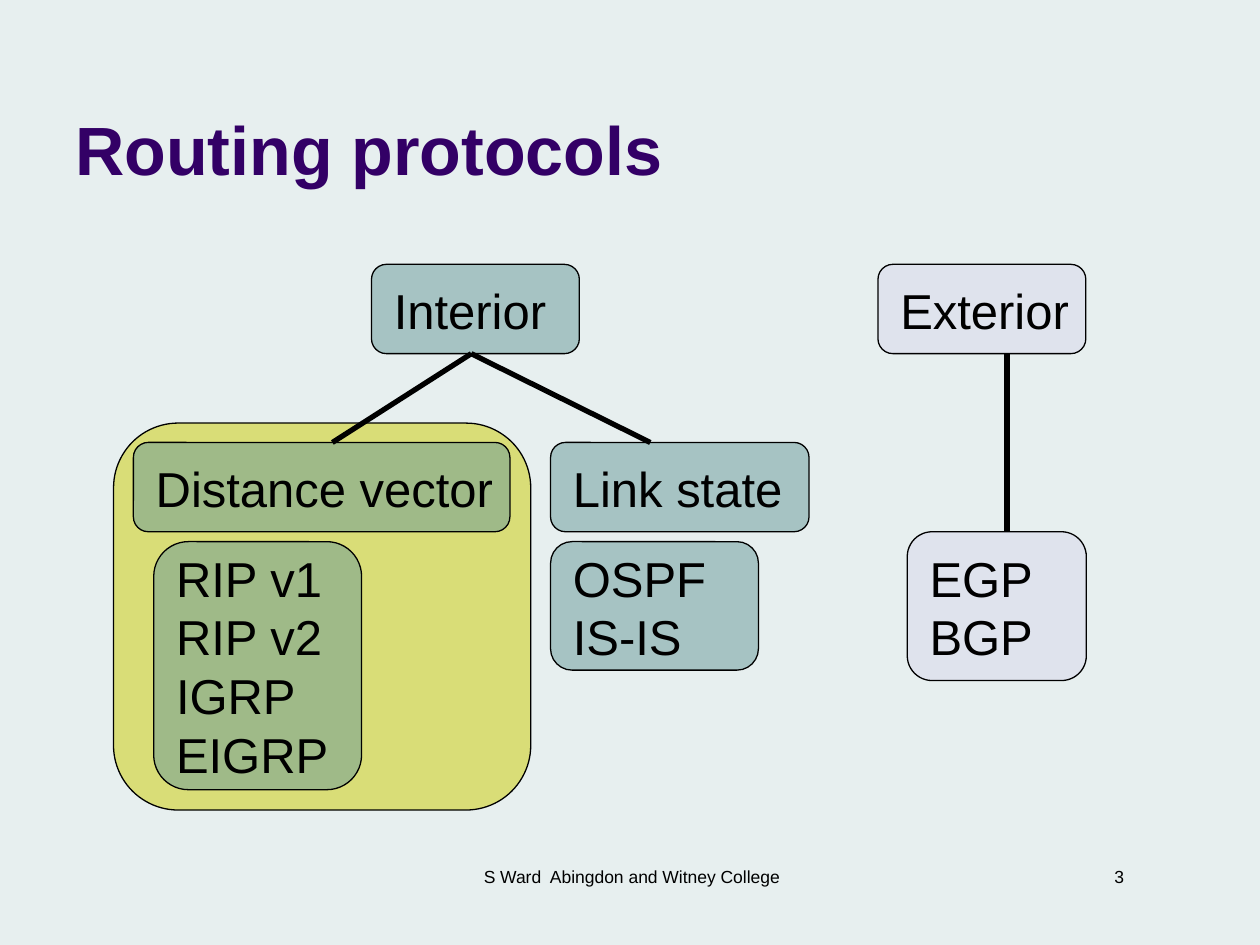
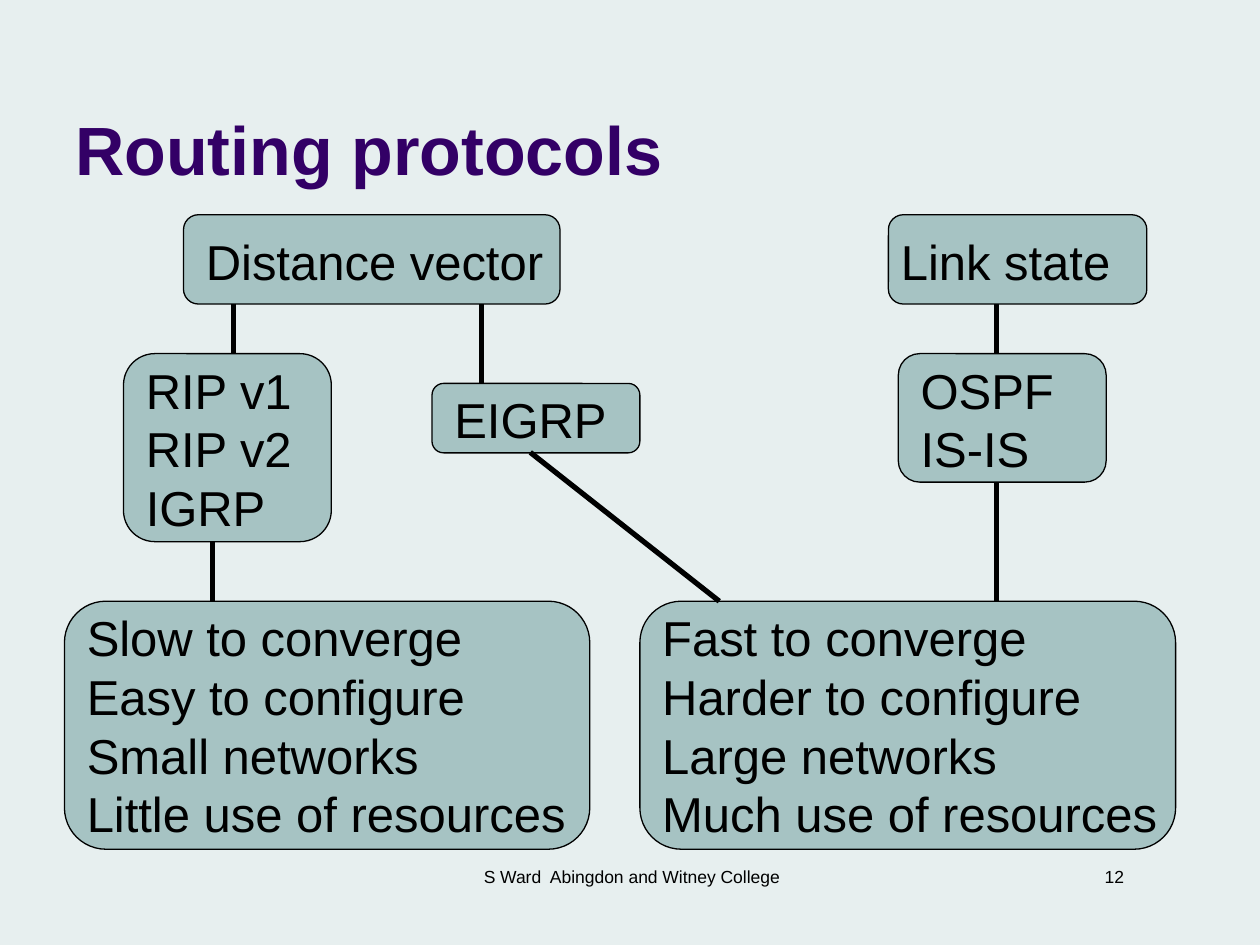
from pptx import Presentation
from pptx.dml.color import RGBColor
from pptx.enum.shapes import MSO_CONNECTOR, MSO_SHAPE
from pptx.enum.text import MSO_ANCHOR, MSO_AUTO_SIZE, PP_ALIGN
from pptx.oxml.ns import qn
from pptx.util import Cm, Pt
from lxml.etree import SubElement

BACKGROUND = RGBColor(0xE7, 0xEF, 0xEF)
BLACK = RGBColor(0x00, 0x00, 0x00)
PURPLE = RGBColor(0x33, 0x00, 0x66)
TEAL = RGBColor(0x66, 0x99, 0x99)
LAVENDER = RGBColor(0xD8, 0xD8, 0xEC)
OLIVE = RGBColor(0xCC, 0xCC, 0x00)

TITLE_ONLY = 5
LINE_PITCH = 1.2
HEADING_HEIGHT = 1.8


def apply_format(target, values):
    for name, value in values.items():
        setattr(target, name, value)


class ProtocolDeck:
    title_font = {"name": "Arial", "size": Pt(39), "bold": True}
    label_font = {"name": "Arial", "size": Pt(28), "bold": False}
    footer_font = {"name": "Arial", "size": Pt(10), "bold": False}
    frame_format = {
        "word_wrap": True,
        "auto_size": MSO_AUTO_SIZE.NONE,
        "margin_left": Cm(0.25),
        "margin_right": Cm(0.25),
        "margin_top": Cm(0.13),
        "margin_bottom": Cm(0.13),
    }

    def __init__(self):
        self.presentation = Presentation()
        self.presentation.slide_width = Cm(25.4)
        self.presentation.slide_height = Cm(19.05)
        fill = self.presentation.slide_master.background.fill
        fill.solid()
        fill.fore_color.rgb = BACKGROUND
        self.slide = None

    def start_slide(self, title, number):
        layout = self.presentation.slide_layouts[TITLE_ONLY]
        self.slide = self.presentation.slides.add_slide(layout)
        placeholder = self.slide.shapes.title
        apply_format(placeholder, {"left": Cm(1.27), "top": Cm(0.33),
                                   "width": Cm(20.96), "height": Cm(3.61)})
        self.set_text(placeholder, title, self.title_font, PURPLE)
        placeholder.text_frame.vertical_anchor = MSO_ANCHOR.BOTTOM
        self.text(17.7, 17.32, 5.21, 0.69, number, self.footer_font, PP_ALIGN.RIGHT)
        self.text(8.71, 17.32, 8.05, 1.27, "S Ward  Abingdon and Witney College",
                  self.footer_font, PP_ALIGN.CENTER)

    def set_text(self, shape, text, font, color, alignment=PP_ALIGN.LEFT):
        apply_format(shape.text_frame, self.frame_format)
        paragraph = shape.text_frame.paragraphs[0]
        paragraph.text = text
        apply_format(paragraph, {"alignment": alignment, "space_before": Pt(0),
                                 "line_spacing": Pt(font["size"].pt * LINE_PITCH)})
        for run in paragraph.runs:
            apply_format(run.font, font)
            run.font.color.rgb = color

    def text(self, left, top, width, height, text, font, alignment=PP_ALIGN.LEFT):
        box = self.slide.shapes.add_textbox(Cm(left), Cm(top), Cm(width), Cm(height))
        self.set_text(box, text, font, BLACK, alignment)

    def panel(self, left, top, width, height, color):
        shape = self.slide.shapes.add_shape(
            MSO_SHAPE.ROUNDED_RECTANGLE, Cm(left), Cm(top), Cm(width), Cm(height))
        shape.adjustments[0] = 0.167
        shape.shadow.inherit = False
        shape.fill.solid()
        shape.fill.fore_color.rgb = color
        solid_fill = shape.element.spPr.find(qn("a:solidFill"))
        SubElement(solid_fill[0], qn("a:alpha"), val="50000")
        shape.line.color.rgb = BLACK
        shape.line.width = Pt(0.75)

    def node(self, left, top, width, height, lines, label_width,
             color=TEAL, indent=0.2, drop=0):
        self.panel(left, top, width, height, color)
        label_height = 0.25 + 1.19 * len(lines)
        self.text(left + indent, top + drop, label_width, label_height,
                  "\n".join(lines), self.label_font)

    def heading(self, left, top, width, caption, label_width, color=TEAL, indent=0.2):
        self.node(left, top, width, HEADING_HEIGHT, [caption], label_width,
                  color, indent, drop=0.2)

    def link(self, start_x, start_y, end_x, end_y):
        connector = self.slide.shapes.add_connector(
            MSO_CONNECTOR.STRAIGHT, Cm(start_x), Cm(start_y), Cm(end_x), Cm(end_y))
        connector.line.color.rgb = BLACK
        connector.line.width = Pt(3)
        SubElement(connector.element.spPr, qn("a:effectLst"))


def add_protocol_families(deck):
    deck.start_slide("Routing protocols", "3")
    deck.panel(2.29, 8.53, 8.41, 7.8, OLIVE)
    deck.node(3.1, 10.92, 4.19, 5, ["RIP v1", "RIP v2", "IGRP", "EIGRP"], 3.8)
    deck.node(11.1, 10.92, 4.19, 2.59, ["OSPF", "IS-IS"], 5.6)
    deck.node(18.29, 10.72, 3.61, 3, ["EGP", "BGP"], 5.6, LAVENDER, drop=0.2)
    deck.heading(11.1, 8.92, 5.21, "Link state", 5.6)
    deck.heading(2.69, 8.92, 7.59, "Distance vector", 8.2)
    deck.heading(17.7, 5.33, 4.19, "Exterior", 5.6, LAVENDER)
    deck.heading(7.49, 5.33, 4.19, "Interior", 5.6)
    deck.link(20.3, 7.13, 20.3, 10.72)
    for child_x in (6.7, 13.11):
        deck.link(9.5, 7.13, child_x, 8.92)


def add_protocol_properties(deck):
    deck.start_slide("Routing protocols", "12")
    deck.node(2.49, 7.13, 4.19, 3.79, ["RIP v1", "RIP v2", "IGRP"], 3.8)
    deck.heading(3.7, 4.33, 7.59, "Distance vector", 8.2)
    deck.heading(17.91, 4.33, 5.21, "Link state", 5.6, indent=0)
    deck.node(18.11, 7.13, 4.19, 2.59, ["OSPF", "IS-IS"], 5.6)
    deck.node(8.71, 7.73, 4.19, 1.4, ["EIGRP"], 3.8)
    deck.node(1.3, 12.12, 10.59, 5,
              ["Slow to converge", "Easy to configure", "Small networks",
               "Little use of resources"], 10.2)
    deck.node(12.9, 12.12, 10.8, 5,
              ["Fast to converge", "Harder to configure", "Large networks",
               "Much use of resources"], 11)
    for x, top, bottom in ((4.7, 6.13, 7.13), (9.7, 6.13, 7.73), (4.29, 10.92, 12.12),
                           (20.09, 6.13, 7.13), (20.09, 9.72, 12.12)):
        deck.link(x, top, x, bottom)
    deck.link(10.69, 9.12, 14.5, 12.12)


def main():
    deck = ProtocolDeck()
    add_protocol_families(deck)
    add_protocol_properties(deck)
    deck.presentation.save("out.pptx")


if __name__ == "__main__":
    main()
